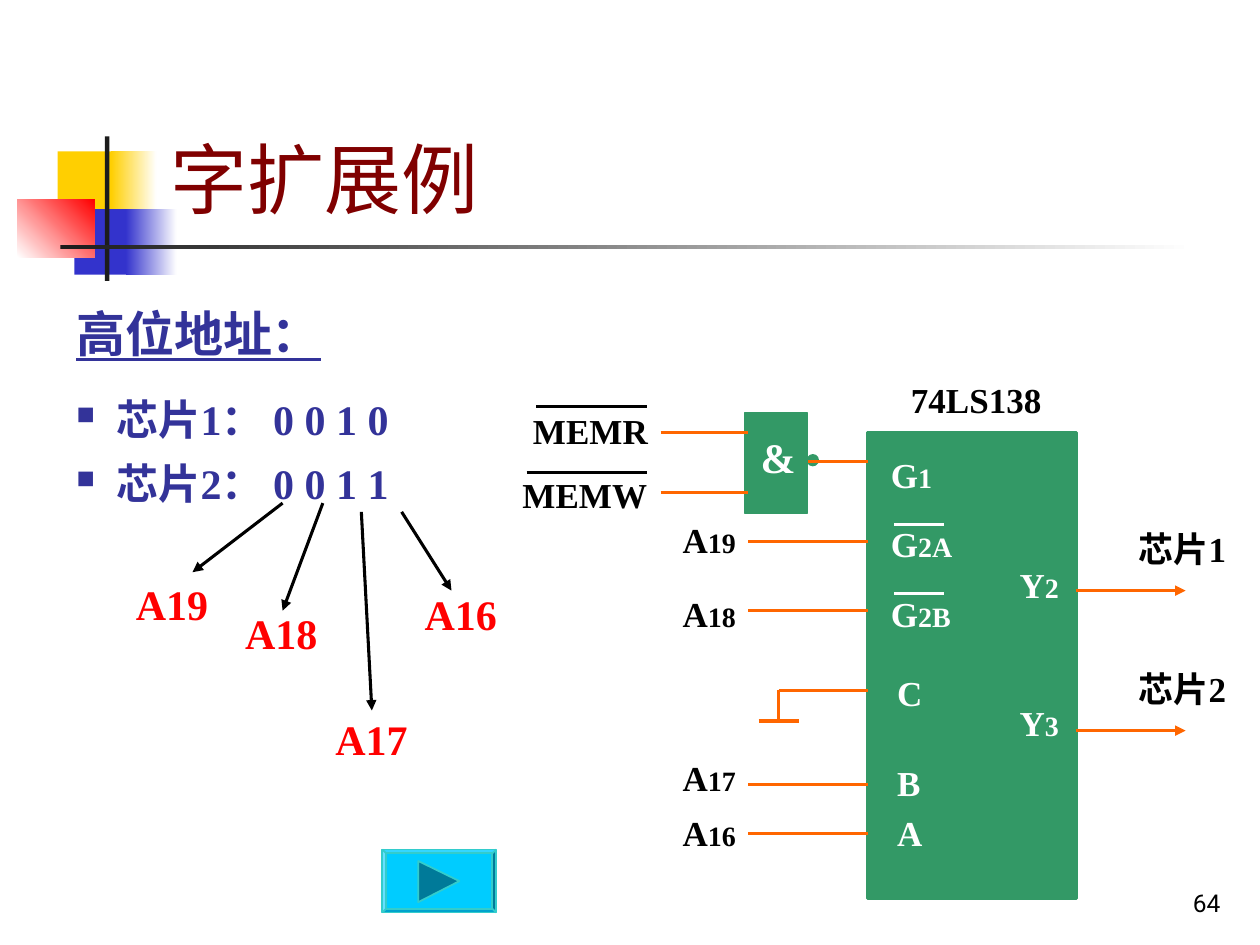
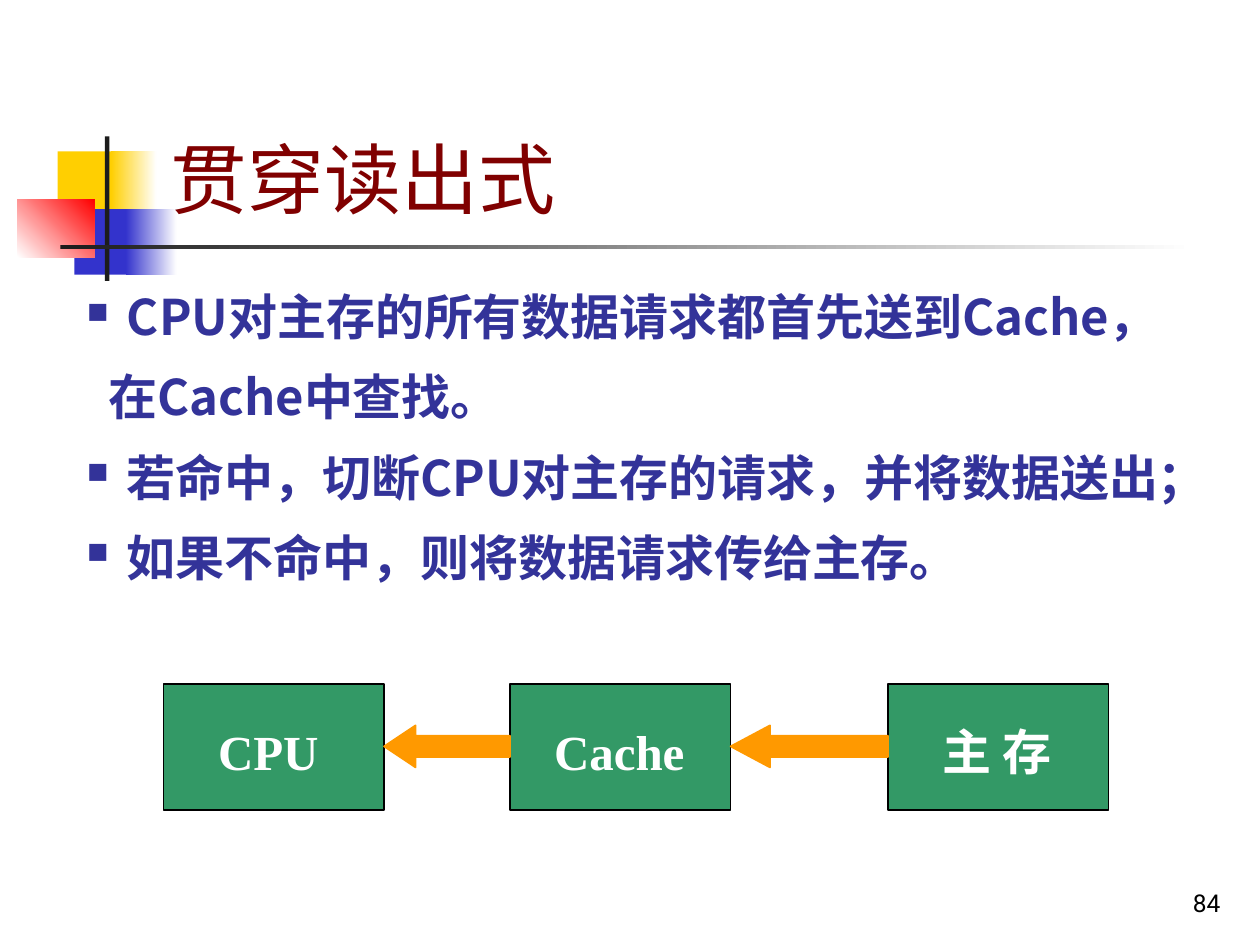
"""Two lecture slides: word expansion decoding and look-through cache reading."""
from dataclasses import dataclass

from lxml import etree
from pptx import Presentation
from pptx import util as u
from pptx.dml.color import RGBColor
from pptx.enum import shapes, text
from pptx.oxml.ns import qn

Pt = u.Pt
KIND = shapes.MSO_SHAPE
WHITE = RGBColor(0xFF, 0xFF, 0xFF)
BLACK = RGBColor(0x00, 0x00, 0x00)
INK = RGBColor(0x1C, 0x1C, 0x1C)
YELLOW = RGBColor(0xFF, 0xCF, 0x01)
BLUE = RGBColor(0x33, 0x33, 0xCC)
RED = RGBColor(0xFF, 0x00, 0x00)
MAROON = RGBColor(0x80, 0x00, 0x00)
NAVY = RGBColor(0x33, 0x33, 0x99)
GREEN = RGBColor(0x33, 0x99, 0x66)
WIRE = RGBColor(0xFF, 0x66, 0x00)
ORANGE = RGBColor(0xFF, 0x99, 0x00)
CYAN = RGBColor(0x00, 0xCC, 0xFF)
TEAL = RGBColor(0x33, 0xCC, 0xCC)
DARK_CYAN = RGBColor(0x00, 0x7A, 0x99)
SERIF, SANS, CJK = "Times New Roman", "Roboto", "Noto Sans CJK SC"


@dataclass
class Box:
    """A filled preset shape."""
    x: float
    y: float
    w: float
    h: float
    fill: RGBColor
    end: RGBColor | None = None
    angle: float = 0
    line: RGBColor | None = None
    width: float = 1
    kind: KIND = KIND.RECTANGLE
    adj: tuple[float, ...] = ()


@dataclass
class Line:
    """A straight line or arrow."""
    x1: float
    y1: float
    x2: float
    y2: float
    color: RGBColor = WIRE
    arrow: bool = False


@dataclass
class Label:
    """A bold one-line label with an optional smaller index."""
    text: str
    x: float
    y: float
    w: float = 51
    index: str = ""
    color: RGBColor = BLACK
    size: float = 20


@dataclass
class Para:
    """A paragraph of body text."""
    text: str
    size: float = 28
    bullet: bool = True
    underline: bool = False
    margin: float = 23
    before: float = 7
    after: float = 1.8
    spacing: float = 1.1


DECOR = [
    Box(33, 86.5, 34.5, 37.5, YELLOW),
    Box(63.5, 86.5, 26, 37.5, YELLOW, WHITE),
    Box(42.5, 119.5, 33, 37.5, BLUE),
    Box(72, 119.5, 29, 37.5, BLUE, WHITE),
    Box(10, 114, 44, 33, WHITE, RED, 45),
    Box(60, 78, 2.5, 82.5, INK),
    Box(34.5, 140, 648, 2.5, INK, WHITE),
]


def add_box(slide, b: Box):
    """Draw a preset shape with a solid or gradient fill."""
    sp = slide.shapes.add_shape(b.kind, Pt(b.x), Pt(b.y), Pt(b.w), Pt(b.h))
    for i, value in enumerate(b.adj):
        sp.adjustments[i] = value
    style(sp, b.fill, b.line, b.width)
    if b.end is not None:
        sp.fill.gradient()
        sp.fill.gradient_angle = b.angle
        for stop, color in zip(sp.fill.gradient_stops, (b.fill, b.end)):
            stop.color.rgb = color
        for stop, position in zip(sp.fill.gradient_stops, (0, 1)):
            stop.position = position


def style(sp, fill: RGBColor, line: RGBColor | None, width: float = 1) -> None:
    """Set fill and outline and drop the shadow."""
    sp.shadow.inherit = False
    sp.fill.solid()
    sp.fill.fore_color.rgb = fill
    if line is None:
        sp.line.fill.background()
    else:
        sp.line.color.rgb = line
        sp.line.width = Pt(width)


def add_line(slide, ln: Line) -> None:
    """Draw a connector, with an arrowhead at its end if asked."""
    sp = slide.shapes.add_connector(
        shapes.MSO_CONNECTOR.STRAIGHT, Pt(ln.x1), Pt(ln.y1), Pt(ln.x2), Pt(ln.y2))
    sp.line.color.rgb = ln.color
    sp.line.width = Pt(1.75)
    if ln.arrow:
        etree.SubElement(sp.line._get_or_add_ln(), qn("a:tailEnd"), type="triangle")
    etree.SubElement(sp._element.spPr, qn("a:effectLst"))


def add_frame(slide, x: float, y: float, w: float, h: float, anchor=text.MSO_ANCHOR.TOP):
    """Add a wrapping text box and return its text frame."""
    tf = slide.shapes.add_textbox(Pt(x), Pt(y), Pt(w), Pt(h)).text_frame
    tf.word_wrap = True
    tf.vertical_anchor = anchor
    return tf


def add_run(p, words: str, font: str, size: float, color: RGBColor,
            bold: bool = False, underline: bool = False) -> None:
    """Append one formatted run to a paragraph."""
    r = p.add_run()
    r.text = words
    r.font.size = Pt(size)
    r.font.bold = bold
    r.font.underline = underline
    r.font.color.rgb = color
    r.font.name = font
    etree.SubElement(r._r.get_or_add_rPr(), qn("a:ea"), typeface=CJK)


def add_label(slide, lb: Label) -> None:
    """Draw a label."""
    p = add_frame(slide, lb.x, lb.y, lb.w, 1.2 * lb.size + 7.5).paragraphs[0]
    add_run(p, lb.text, SERIF, lb.size, lb.color, bold=True)
    if lb.index:
        add_run(p, lb.index, SERIF, 16, lb.color, bold=True)


def add_bullet(p, margin: float) -> None:
    """Give a paragraph a small square bullet and a hanging indent."""
    pPr = p._p.get_or_add_pPr()
    pPr.set("marL", str(Pt(margin)))
    pPr.set("indent", str(-Pt(margin)))
    color = etree.SubElement(pPr, qn("a:buClr"))
    etree.SubElement(color, qn("a:srgbClr"), val=str(NAVY))
    etree.SubElement(pPr, qn("a:buSzPct"), val="60000")
    etree.SubElement(pPr, qn("a:buChar"), char="■")


def add_body(slide, x: float, y: float, w: float, h: float, font: str,
             paras: list[Para]) -> None:
    """Draw the body text."""
    tf = add_frame(slide, x, y, w, h)
    for i, para in enumerate(paras):
        p = tf.add_paragraph() if i else tf.paragraphs[0]
        if para.bullet:
            add_bullet(p, para.margin)
        elif para.margin:
            p._p.get_or_add_pPr().set("marL", str(Pt(para.margin)))
        p.line_spacing = para.spacing
        p.space_before = Pt(para.before if i else 0)
        p.space_after = Pt(para.after)
        add_run(p, para.text, font, para.size, NAVY, True, para.underline)


def new_slide(prs, title: str, number: int):
    """Add a slide with the shared ornament, title and page number."""
    slide = prs.slides.add_slide(prs.slide_layouts[6])
    for box in DECOR:
        add_box(slide, box)
    p = add_frame(slide, 554.5, 492, 150, 36, text.MSO_ANCHOR.BOTTOM).paragraphs[0]
    p.alignment = text.PP_ALIGN.RIGHT
    add_run(p, str(number), SANS, 14, BLACK)
    p = add_frame(slide, 90.5, 16.5, 613.5, 115, text.MSO_ANCHOR.BOTTOM).paragraphs[0]
    add_run(p, title, SANS, 44, MAROON)
    return slide


def add_next_button(slide) -> None:
    """Draw the bevelled button with its triangle."""
    add_box(slide, Box(218.5, 485.5, 65, 36, CYAN, line=TEAL, kind=KIND.BEVEL, adj=(0.06,)))
    fb = slide.shapes.build_freeform(Pt(239), Pt(492), 1.0)
    fb.add_line_segments([(Pt(262.5), Pt(503.5)), (Pt(239), Pt(515.5))], close=True)
    style(fb.convert_to_shape(), DARK_CYAN, TEAL)


def expansion_slide(prs) -> None:
    """Build the word expansion slide."""
    slide = new_slide(prs, "字扩展例", 64)
    add_box(slide, Box(496, 247, 119, 266.5, GREEN, line=GREEN, width=1.75))
    add_box(slide, Box(425.5, 236, 36, 57, GREEN, line=GREEN))
    add_box(slide, Box(461.5, 260, 6, 6, GREEN, line=GREEN, kind=KIND.OVAL))

    wires = [Line(462, 263.5, 496, 263.5)]
    wires += [Line(377.5, y, 427.5, y) for y in (247, 281.5)]
    wires += [Line(427.5, y, 496, y) for y in (309.5, 349, 448.5, 476.5)]
    ground = [Line(445, 394.5, 496, 394.5), Line(445, 394.5, 445, 412),
              Line(433.5, 412, 456.5, 412)]
    outputs = [Line(615, y, 677.5, y, arrow=True) for y in (337.5, 417.5)]
    overbars = [Line(511, y, 539.5, y, WHITE) for y in (299.5, 339)]
    overbars += [Line(306.5, 232.5, 369.5, 232.5, BLACK), Line(301, 270, 369.5, 270, BLACK)]
    pointers = [Line(*ends, BLACK, True) for ends in (
        (161.5, 287.5, 110, 327), (184.5, 287.5, 161.5, 349),
        (206.5, 292.5, 212.5, 406), (229.5, 292.5, 258, 337.5))]
    for line in wires + ground + outputs + overbars + pointers:
        add_line(slide, line)

    pins = [("G", "1", 502, 255.5), ("G", "2A", 502, 295), ("G", "2B", 502, 335),
            ("C", "", 505.5, 380), ("B", "", 505.5, 431.5), ("A", "", 505.5, 460),
            ("Y", "2", 575.5, 318.5), ("Y", "3", 575.5, 397.5)]
    labels = [Label(name, x, y, 62, index, WHITE) for name, index, x, y in pins]
    inputs = [("19", 292.5), ("18", 335), ("17", 428.5), ("16", 460)]
    labels += [Label("A", 383, y, index=index) for index, y in inputs]
    labels += [Label("MEMR", 297.5, 230.5, 96.5), Label("MEMW", 291.5, 267, 96.5),
               Label("74LS138", 513.5, 213, 96.5),
               Label("&", 427.5, 243, 34, color=WHITE, size=24),
               Label("芯片1", 643.5, 298, 76.5), Label("芯片2", 643.5, 378, 76.5)]
    bits = [("A19", 70.5, 327), ("A18", 133, 343.5), ("A17", 184.5, 404), ("A16", 235.5, 332.5)]
    labels += [Label(bit, x, y, 62, color=RED, size=24) for bit, x, y in bits]
    for label in labels:
        add_label(slide, label)

    add_body(slide, 36.5, 168, 278, 126, SERIF, [
        Para("高位地址：", bullet=False, underline=True, margin=0, after=10.5, spacing=1.05),
        *(Para(row, 24, before=7.5, after=0, spacing=1)
          for row in ("芯片1： 0 0 1 0", "芯片2： 0 0 1 1"))])
    add_next_button(slide)


def cache_slide(prs) -> None:
    """Build the look-through reading slide."""
    slide = new_slide(prs, "贯穿读出式", 84)
    units = [("CPU", 93.5, 117.5, 84), ("Cache", 291.5, 309.5, 96), ("主 存", 507.5, 531.5, 78)]
    for name, x, label_x, w in units:
        add_box(slide, Box(x, 391, 126, 72, GREEN, line=BLACK))
        add_label(slide, Label(name, label_x, 409, w, color=WHITE, size=28))
    for (_, left, _, _), (_, right, _, _) in zip(units, units[1:]):
        gap = right - left - 126
        add_box(slide, Box(left + 126, 414.5, gap, 24, ORANGE, line=ORANGE,
                           kind=KIND.LEFT_ARROW, adj=(0.5, gap / 96)))
    add_body(slide, 42.5, 157, 652.5, 218, CJK, [
        Para("CPU对主存的所有数据请求都首先送到Cache，"),
        Para("在Cache中查找。", bullet=False, margin=12.5),
        Para("若命中，切断CPU对主存的请求，并将数据送出；"),
        Para("如果不命中，则将数据请求传给主存。")])


def main() -> None:
    """Build and save the presentation."""
    prs = Presentation()
    prs.slide_width, prs.slide_height = Pt(720), Pt(540)
    expansion_slide(prs)
    cache_slide(prs)
    prs.save("out.pptx")


if __name__ == "__main__":
    main()
